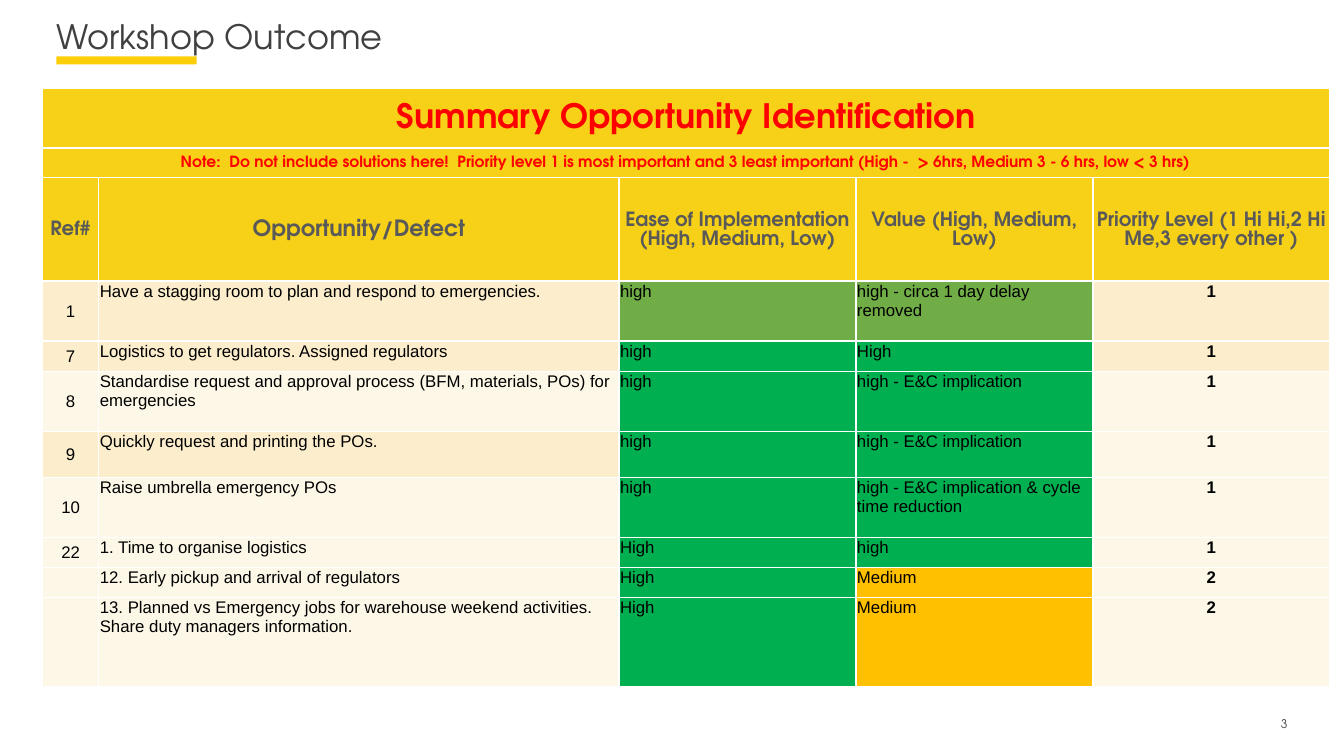
"""Build the workshop outcome slide with its table of ranked opportunities."""
from dataclasses import dataclass

from lxml.etree import SubElement
from pptx import Presentation
from pptx.dml.color import RGBColor
from pptx.enum.shapes import MSO_SHAPE
from pptx.enum.text import MSO_ANCHOR, PP_ALIGN
from pptx.oxml.ns import qn
from pptx.util import Emu, Inches, Pt

WIDE, HIGH = Inches(13.33), Inches(7.5)
HEAD, BODY = "TeX Gyre Adventor", "Arial"
TONE = {
    "white": "FFFFFF", "bar": "FBCE07", "gold": "F7D117", "red": "FF0000",
    "dark": "404040", "gray": "595959", "black": "000000", "sand": "FCEECC",
    "cream": "FDF7E7", "moss": "70AD47", "green": "00B050", "amber": "FFC000",
}
COLS = [4.2, 38.71, 17.63, 17.63, 17.63]


@dataclass
class Style:
    size: float
    tone: str
    bold: bool = False
    face: str = HEAD
    align: PP_ALIGN = PP_ALIGN.LEFT
    anchor: MSO_ANCHOR = MSO_ANCHOR.TOP
    lead: float | None = None


@dataclass
class Item:
    tall: float
    texts: list[str]
    fills: list[str]


MID, CENTER = MSO_ANCHOR.MIDDLE, PP_ALIGN.CENTER
BANNER = Style(24, "red", True, HEAD, CENTER, MID)
NOTE = Style(11, "red", True, HEAD, CENTER, MID)
LABEL = Style(14, "gray", True, HEAD, CENTER, MID, 13.6)
TOPIC = Style(16, "gray", True, HEAD, CENTER, MID)
REF = Style(12, "black", False, BODY, CENTER, MID)
PLAIN = Style(12, "black", False, BODY)
RANK = Style(12, "black", True, BODY, CENTER)

BANDS = [
    (7.87, "Summary Opportunity Identification", BANNER),
    (3.9, "Note:  Do not include solutions here!  Priority level 1 is most important and "
          "3 least important (High -  > 6hrs, Medium 3 - 6 hrs, low < 3 hrs)", NOTE),
]
HEADS = Item(13.7, ["Ref#", "Opportunity/Defect", "Ease of Implementation (High, Medium, Low)",
                    "Value (High, Medium, Low)", "Priority Level (1 Hi Hi,2 Hi Me,3 every other )"],
             ["gold"] * 5)
ITEMS = [
    Item(7.93, ["1", "Have a stagging room to plan and respond to emergencies.", "high",
                "high - circa 1 day delay removed", "1"],
         ["sand", "sand", "moss", "moss", "sand"]),
    Item(4, ["7", "Logistics to get regulators. Assigned regulators", "high", "High", "1"],
         ["sand", "sand", "green", "green", "sand"]),
    Item(7.93, ["8", "Standardise request and approval process (BFM, materials, POs) for "
                "emergencies", "high", "high - E&C implication", "1"],
         ["cream", "cream", "green", "green", "cream"]),
    Item(6.08, ["9", "Quickly request and printing the POs.", "high",
                "high - E&C implication", "1"],
         ["sand", "sand", "green", "green", "cream"]),
    Item(7.93, ["10", "Raise umbrella emergency POs", "high",
                "high - E&C implication & cycle time reduction", "1"],
         ["cream", "cream", "green", "green", "cream"]),
    Item(4, ["22", "1. Time to organise logistics", "High", "high", "1"],
         ["cream", "cream", "green", "green", "cream"]),
    Item(4, ["", "12. Early pickup and arrival of regulators", "High", "Medium", "2"],
         ["cream", "cream", "green", "amber", "cream"]),
    Item(11.71, ["", "13. Planned vs Emergency jobs for warehouse weekend activities.\v"
                 "Share duty managers information.", "High", "Medium", "2"],
         ["cream", "cream", "green", "amber", "cream"]),
]


def across(share: float) -> Emu:
    return Emu(round(WIDE * share / 100))


def down(share: float) -> Emu:
    return Emu(round(HIGH * share / 100))


def box(left: float, top: float, width: float, height: float) -> tuple[Emu, Emu, Emu, Emu]:
    return across(left), down(top), across(width), down(height)


def color(name: str) -> RGBColor:
    return RGBColor.from_string(TONE[name])


def write(frame, text: str, style: Style) -> None:
    frame.text = text
    for para in frame.paragraphs:
        para.alignment = style.align
        para.space_before = Pt(0)
        if style.lead:
            para.line_spacing = Pt(style.lead)
        font = para.font
        font.size, font.bold, font.name = Pt(style.size), style.bold, style.face
        font.color.rgb = color(style.tone)


def inset(frame, bottom: float = 0) -> None:
    frame.margin_left = frame.margin_right = frame.margin_top = 0
    frame.margin_bottom = Inches(bottom)


def edge(cell, top: float, base: float) -> None:
    props = cell._tc.get_or_add_tcPr()
    for spot, (side, width) in enumerate(zip("LRTB", (1, 1, top, base))):
        line = props.makeelement(qn(f"a:ln{side}"), {"w": str(Pt(width))})
        fill = SubElement(line, qn("a:solidFill"))
        SubElement(fill, qn("a:srgbClr"), val=TONE["white"])
        props.insert(spot, line)


def paint(cell, text: str, fill: str, style: Style, top: float = 1, base: float = 1) -> None:
    cell.margin_left = cell.margin_right = cell.margin_top = Inches(0.01)
    cell.margin_bottom = 0
    cell.vertical_anchor = style.anchor
    write(cell.text_frame, text, style)
    cell.fill.solid()
    cell.fill.fore_color.rgb = color(fill)
    edge(cell, top, base)


def chart_rows(slide) -> None:
    talls = [band[0] for band in BANDS] + [HEADS.tall] + [item.tall for item in ITEMS]
    table = slide.shapes.add_table(
        len(talls), len(COLS), *box(3.15, 11.73, sum(COLS), sum(talls))).table
    for col, width in zip(table.columns, COLS):
        col.width = across(width)
    for row, tall in zip(table.rows, talls):
        row.height = down(tall)
    for num, (_, text, style) in enumerate(BANDS):
        first = table.cell(num, 0)
        first.merge(table.cell(num, len(COLS) - 1))
        paint(first, text, "gold", style, 1.5 if num else 1, 1 if num else 1.5)
    looks = [LABEL, TOPIC, LABEL, LABEL, LABEL], [REF, PLAIN, PLAIN, PLAIN, RANK]
    for num, item in enumerate([HEADS] + ITEMS):
        styles = looks[min(num, 1)]
        top, base = 1.5 if num == 1 else 1, 1.5 if num == 0 else 1
        for col, (text, fill, style) in enumerate(zip(item.texts, item.fills, styles)):
            paint(table.cell(num + len(BANDS), col), text, fill, style, top, base)


def main() -> None:
    deck = Presentation()
    deck.slide_width, deck.slide_height = WIDE, HIGH
    slide = deck.slides.add_slide(deck.slide_layouts[5])

    title = slide.shapes.title
    title.left, title.top, title.width, title.height = box(4.2, 2.13, 91.67, 10.93)
    inset(title.text_frame)
    title.text_frame.vertical_anchor = MSO_ANCHOR.TOP
    write(title.text_frame, "Workshop Outcome", Style(24, "dark"))

    bar = slide.shapes.add_shape(MSO_SHAPE.RECTANGLE, *box(4.2, 7.47, 10.43, 1.07))
    bar.shadow.inherit = False
    bar.fill.solid()
    bar.fill.fore_color.rgb = color("bar")
    bar.line.fill.background()
    title.element.addprevious(bar.element)

    chart_rows(slide)

    page = slide.shapes.add_textbox(*box(92.87, 94.27, 2.93, 3.47)).text_frame
    inset(page, 0.05)
    page.vertical_anchor = MSO_ANCHOR.MIDDLE
    write(page, "3", Style(8.5, "dark", align=PP_ALIGN.RIGHT))
    deck.save("out.pptx")


if __name__ == "__main__":
    main()
